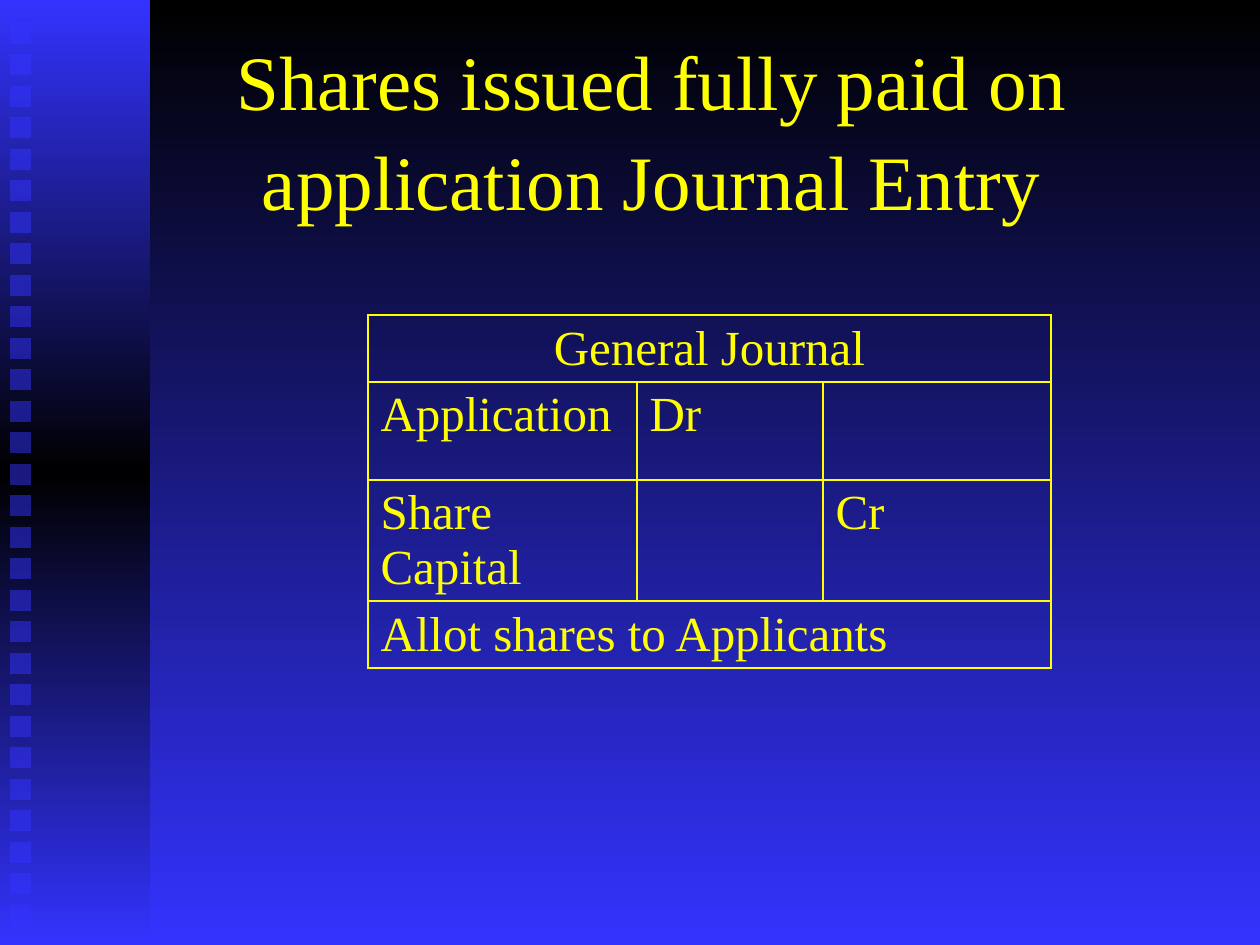
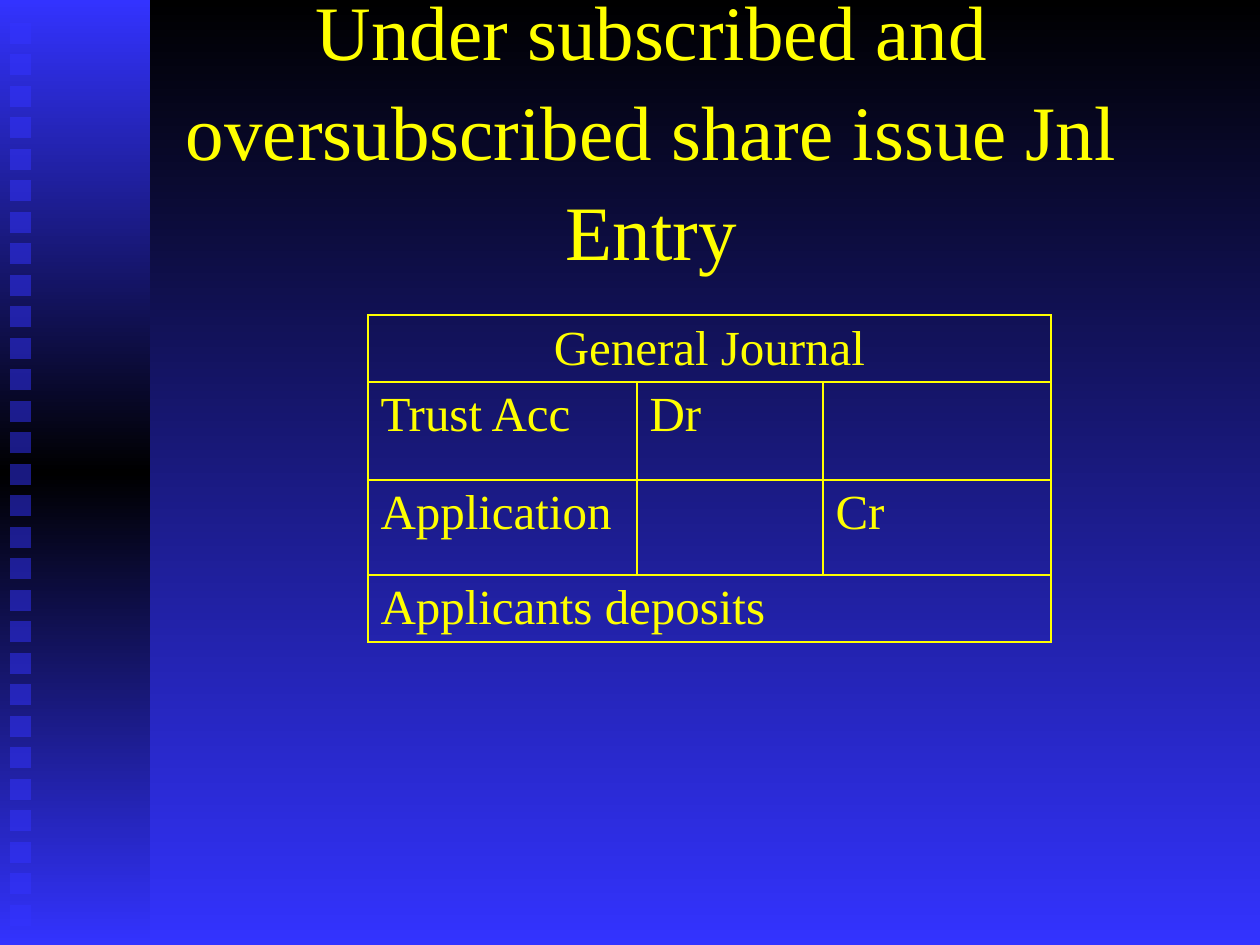
"""Build two slides on journal entries for share issues."""
from lxml.etree import SubElement
from pptx import Presentation
from pptx.dml.color import RGBColor
from pptx.enum.shapes import MSO_SHAPE
from pptx.enum.text import MSO_ANCHOR, MSO_AUTO_SIZE, PP_ALIGN
from pptx.oxml.ns import qn
from pptx.util import Pt

SCALE = 914400 / 126
WIDE, HIGH = 1260, 945
FONT = "Times New Roman"
HUES = {"text": "FFFF00", "dark": "000000", "blue": "3333FF"}
COLS = (269, 186, 228)
SLIDES = (
    ("Shares issued fully paid on application Journal Entry",
     "Application", "Share Capital", "Allot shares to Applicants", 121),
    ("Under subscribed and oversubscribed share issue Jnl Entry",
     "Trust Acc", "Application", "Applicants deposits", 95),
)


def px(*vals):
    """Turn px lengths into a list of EMU."""
    return [round(val * SCALE) for val in vals]


def tint(node, hue):
    """Add a colour element to an XML node."""
    return SubElement(node, qn("a:srgbClr"), val=HUES[hue])


def blend(fill, node, *hues):
    """Give a fill a top-down gradient with even stops."""
    fill.gradient()
    fill.gradient_angle = 270
    stops = next(node.iter(qn("a:gsLst")))
    for stop in list(stops):
        stops.remove(stop)
    for i, hue in enumerate(hues):
        pos = str(100000 * i // (len(hues) - 1))
        tint(SubElement(stops, qn("a:gs"), pos=pos), hue)


def write(frame, text, size=28, align=PP_ALIGN.LEFT, space=None):
    """Write one formatted paragraph into a text frame."""
    para = frame.paragraphs[0]
    para.alignment = align
    para.line_spacing = space
    run = para.add_run()
    run.text = text
    run.font.name = FONT
    run.font.size = Pt(size)
    run.font.color.rgb = RGBColor.from_string(HUES["text"])


def block(slide, *box):
    """Add a plain rectangle without line or shadow."""
    shape = slide.shapes.add_shape(MSO_SHAPE.RECTANGLE, *px(*box))
    shape.shadow.inherit = False
    shape.line.fill.background()
    return shape


def band(slide):
    """Draw the left band and its column of squares."""
    side = block(slide, 0, 0, 150, HIGH)
    blend(side.fill, side._element.spPr, "blue", "dark", "blue")
    for i in range(29):
        square = block(slide, 10, 23 + 63 * i // 2, 21, 21)
        square.fill.solid()
        square.fill.fore_color.rgb = RGBColor.from_string(HUES["blue"])
        hue = next(square._element.spPr.iter(qn("a:srgbClr")))
        SubElement(hue, qn("a:alpha"), val="50000")


def head(slide, text):
    """Place and format the slide title."""
    title = slide.shapes.title
    title.left, title.top, title.width, title.height = px(116, 42, 1071, 168)
    frame = title.text_frame
    frame.auto_size = MSO_AUTO_SIZE.NONE
    frame.vertical_anchor = MSO_ANCHOR.MIDDLE
    write(frame, text, size=44, align=PP_ALIGN.CENTER, space=1.08)


def edge(cell):
    """Give a cell thin borders and no fill."""
    props = cell._tc.get_or_add_tcPr()
    for side in ("lnL", "lnR", "lnT", "lnB"):
        line = SubElement(props, qn(f"a:{side}"), w=str(Pt(1)))
        tint(SubElement(line, qn("a:solidFill")), "text")
    cell.fill.background()


def ledger(slide, debit, credit, note, tall):
    """Add the general journal table."""
    rows = (("General Journal",), (debit, "Dr", ""),
            (credit, "", "Cr"), (note,))
    highs = (67, 98, tall, 67)
    box = px(368, 315, sum(COLS), sum(highs))
    table = slide.shapes.add_table(len(rows), len(COLS), *box).table
    table.first_row = table.horz_banding = False
    for col, wide in zip(table.columns, px(*COLS)):
        col.width = wide
    for row, high in zip(table.rows, px(*highs)):
        row.height = high
    for cell in table.iter_cells():
        edge(cell)
    for r, texts in enumerate(rows):
        if len(texts) == 1:
            table.cell(r, 0).merge(table.cell(r, len(COLS) - 1))
        for c, text in enumerate(texts):
            if text:
                align = PP_ALIGN.LEFT if r else PP_ALIGN.CENTER
                write(table.cell(r, c).text_frame, text, align=align)


def main():
    """Build and save the slides."""
    deck = Presentation()
    deck.slide_width, deck.slide_height = px(WIDE, HIGH)
    master = deck.slide_master
    blend(master.background.fill, master._element.cSld, "dark", "blue")
    for title, *entry in SLIDES:
        slide = deck.slides.add_slide(deck.slide_layouts[5])
        band(slide)
        head(slide, title)
        ledger(slide, *entry)
    deck.save("out.pptx")


if __name__ == "__main__":
    main()
